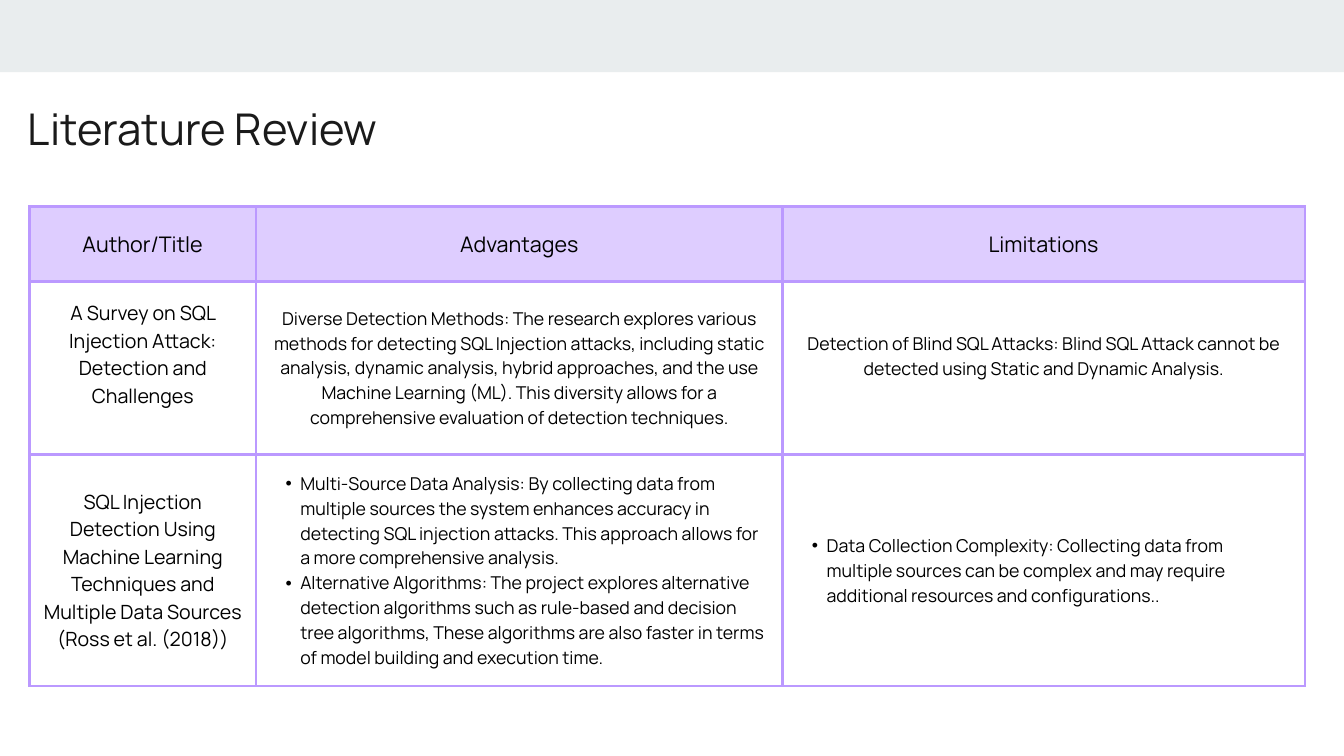
import pptx
import pptx.dml.color
import pptx.enum.shapes
import pptx.enum.text
import pptx.oxml
import pptx.oxml.ns
import pptx.util

PX = 9525
FONT = "Manrope"
COLORS = {"band": "E9EDEE", "header": "DECDFF", "border": "BB99FF", "text": "000000", "title": "1A1A1A"}
ALIGN = pptx.enum.text.PP_ALIGN
ANCHOR = pptx.enum.text.MSO_ANCHOR
INSET = 20
NS = pptx.oxml.ns.nsdecls("a")


def rgb(name):
    return pptx.dml.color.RGBColor.from_string(COLORS[name])


def style(p, size, leading, color, align):
    p.alignment = align
    p.line_spacing = pptx.util.Pt(leading)
    for r in p.runs:
        r.font.name = FONT
        r.font.size = pptx.util.Pt(size)
        r.font.bold = False
        r.font.color.rgb = rgb(color)


prs = pptx.Presentation()
prs.slide_width = 1920 * PX
prs.slide_height = 1080 * PX
slide = prs.slides.add_slide(prs.slide_layouts[5])

band = slide.shapes.add_shape(pptx.enum.shapes.MSO_SHAPE.RECTANGLE, 0, 0, 1920 * PX, 103 * PX)
band.shadow.inherit = False
band.fill.solid()
band.fill.fore_color.rgb = rgb("band")
band.line.fill.background()

title = slide.shapes.title
title.left, title.top, title.width, title.height = [v * PX for v in (40, 146, 1596, 76)]
tf = title.text_frame
tf.text = "Literature Review"
tf.auto_size = pptx.enum.text.MSO_AUTO_SIZE.NONE
tf.word_wrap = True
tf.vertical_anchor = ANCHOR.TOP
tf.margin_left = tf.margin_right = tf.margin_top = tf.margin_bottom = 0
style(tf.paragraphs[0], 46.8, 56.2, "title", ALIGN.LEFT)

rows = [
    ["Author/Title", "Advantages", "Limitations"],
    [
        "A Survey on SQL Injection Attack: Detection and Challenges",
        "Diverse Detection Methods: The research explores various methods for detecting SQL Injection attacks, "
        "including static analysis, dynamic analysis, hybrid approaches, and the use Machine Learning (ML). "
        "This diversity allows for a comprehensive evaluation of detection techniques.",
        "Detection of Blind SQL Attacks: Blind SQL Attack cannot be detected using Static and Dynamic Analysis.",
    ],
    [
        "SQL Injection Detection Using Machine Learning Techniques and Multiple Data Sources\n"
        "(Ross et al. (2018))",
        "Multi-Source Data Analysis: By collecting data from multiple sources the system enhances accuracy in "
        "detecting SQL injection attacks. This approach allows for a more comprehensive analysis.\n"
        "Alternative Algorithms: The project explores alternative detection algorithms such as rule-based and "
        "decision tree algorithms, These algorithms are also faster in terms of model building and execution time.",
        "Data Collection Complexity: Collecting data from multiple sources can be complex and may require "
        "additional resources and configurations..",
    ],
]
col_widths = [324, 752, 746]
row_heights = [107, 247, 331]
bulleted = {(2, 1), (2, 2)}
extra_bottom = {(1, 0): 39, (1, 2): 35}

frame = slide.shapes.add_table(3, 3, 42 * PX, 295 * PX, sum(col_widths) * PX, sum(row_heights) * PX)
table = frame.table
table.first_row = False
table.horz_banding = False
for col, width in zip(table.columns, col_widths):
    col.width = width * PX
for row, height in zip(table.rows, row_heights):
    row.height = height * PX

for i, texts in enumerate(rows):
    for j, text in enumerate(texts):
        cell = table.cell(i, j)
        cell.vertical_anchor = ANCHOR.MIDDLE
        cell.margin_left = cell.margin_right = cell.margin_top = INSET * PX
        cell.margin_bottom = (INSET + extra_bottom.get((i, j), 0)) * PX
        if i == 0:
            cell.fill.solid()
            cell.fill.fore_color.rgb = rgb("header")
        else:
            cell.fill.background()
        tcPr = cell._tc.get_or_add_tcPr()
        for k, side in enumerate(("lnL", "lnR", "lnT", "lnB")):
            tcPr.insert(k, pptx.oxml.parse_xml(
                f'<a:{side} {NS} w="{pptx.util.Pt(3)}"><a:solidFill>'
                f'<a:srgbClr val="{COLORS["border"]}"/></a:solidFill></a:{side}>'))

        size = 23 if i == 0 else 21 if j == 0 else 19
        is_list = (i, j) in bulleted
        cell.text_frame.text = text
        for p in cell.text_frame.paragraphs:
            style(p, size, round(size * 1.4, 1), "text", ALIGN.LEFT if is_list else ALIGN.CENTER)
            if is_list:
                pPr = p._p.get_or_add_pPr()
                pPr.set("marL", str(43 * PX))
                pPr.set("indent", str(-21 * PX))
                pPr.append(pptx.oxml.parse_xml(f'<a:buFont {NS} typeface="Arial"/>'))
                pPr.append(pptx.oxml.parse_xml(f'<a:buChar {NS} char="•"/>'))

prs.save("out.pptx")
